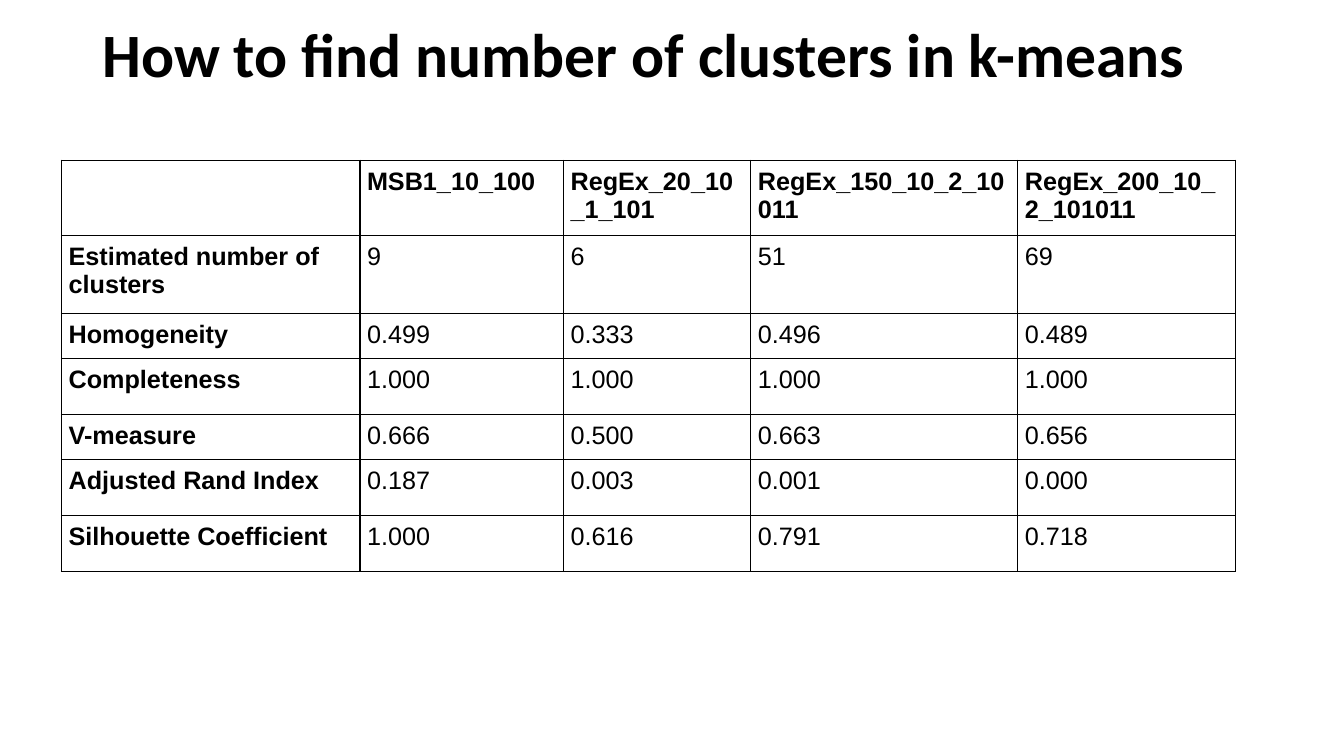
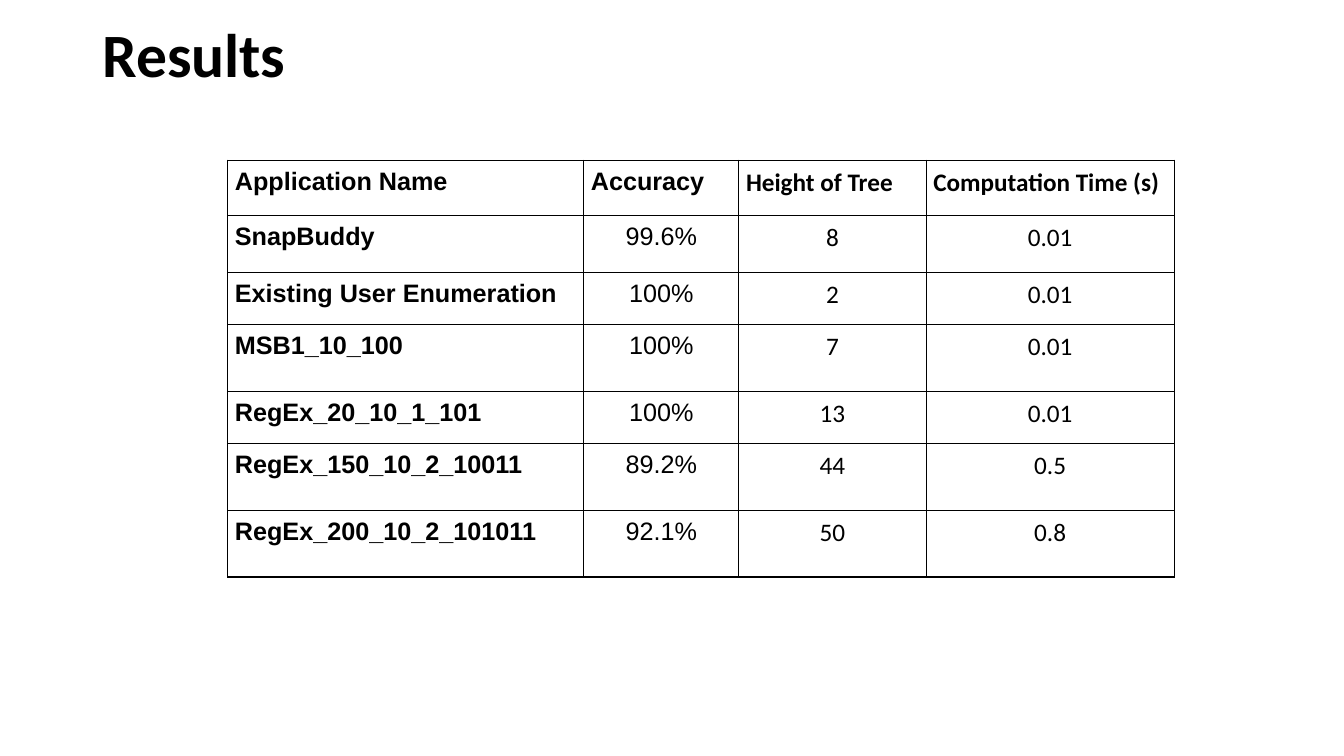
from dataclasses import dataclass

from lxml.etree import SubElement
from pptx import Presentation
from pptx.dml.color import RGBColor
from pptx.enum.text import MSO_ANCHOR, PP_ALIGN
from pptx.oxml.ns import qn
from pptx.util import Cm, Pt


@dataclass(frozen=True)
class Theme:
    ink: str = "000000"
    heading_font: str = "Calibri"
    table_font: str = "Arial"
    title_size: int = 44
    table_size: int = 18
    border: int = 1
    cell_margin: float = 0.18


THEME = Theme()
ARIAL, CALIBRI = THEME.table_font, THEME.heading_font
LEFT, CENTER = PP_ALIGN.LEFT, PP_ALIGN.CENTER

# Content: lengths in centimetres, one font and one body alignment per column
PAGES = [
    {
        "title": "How to find number of clusters in k-means",
        "left": 1.55,
        "widths": [7.52, 5.13, 4.72, 6.73, 5.49],
        "heights": [1.12, 1.98, 1.02, 1.42, 1.02, 1.42, 1.42],
        "fonts": [ARIAL] * 5,
        "aligns": [LEFT] * 5,
        "rows": [
            ["", "MSB1_10_100", "RegEx_20_10_1_101", "RegEx_150_10_2_10011", "RegEx_200_10_2_101011"],
            ["Estimated number of clusters", "9", "6", "51", "69"],
            ["Homogeneity", "0.499", "0.333", "0.496", "0.489"],
            ["Completeness", "1.000", "1.000", "1.000", "1.000"],
            ["V-measure", "0.666", "0.500", "0.663", "0.656"],
            ["Adjusted Rand Index", "0.187", "0.003", "0.001", "0.000"],
            ["Silhouette Coefficient", "1.000", "0.616", "0.791", "0.718"],
        ],
    },
    {
        "title": "Results",
        "left": 5.74,
        "widths": [8.97, 3.91, 4.72, 6.25],
        "heights": [1.4, 1.42, 1.32, 1.68, 1.32, 1.68, 1.68],
        "fonts": [ARIAL, ARIAL, CALIBRI, CALIBRI],
        "aligns": [LEFT, CENTER, CENTER, CENTER],
        "rows": [
            ["Application Name", "Accuracy", "Height of Tree", "Computation Time (s)"],
            ["SnapBuddy", "99.6%", "8", "0.01"],
            ["Existing User Enumeration", "100%", "2", "0.01"],
            ["MSB1_10_100", "100%", "7", "0.01"],
            ["RegEx_20_10_1_101", "100%", "13", "0.01"],
            ["RegEx_150_10_2_10011", "89.2%", "44", "0.5"],
            ["RegEx_200_10_2_101011", "92.1%", "50", "0.8"],
        ],
    },
]
TABLE_TOP = 4.04


def style_paragraph(para, font_name, size, bold):
    font = para.font
    font.name, font.size, font.bold = font_name, Pt(size), bold
    font.color.rgb = RGBColor.from_string(THEME.ink)


def add_title(page, text):
    box = page.shapes.add_textbox(Cm(2.33), Cm(0.03), Cm(29.21), Cm(2.82))
    frame = box.text_frame
    frame.word_wrap = True
    frame.vertical_anchor = MSO_ANCHOR.MIDDLE
    para = frame.paragraphs[0]
    para.text = text
    para.line_spacing = 0.9
    style_paragraph(para, THEME.heading_font, THEME.title_size, True)


def add_borders(cell):
    properties = cell._tc.get_or_add_tcPr()
    for side in ("a:lnL", "a:lnR", "a:lnT", "a:lnB"):
        line = SubElement(properties, qn(side), w=str(Pt(THEME.border)))
        SubElement(SubElement(line, qn("a:solidFill")), qn("a:srgbClr"), val=THEME.ink)


def fill_cell(cell, text, font_name, bold, align):
    margin = Cm(THEME.cell_margin)
    cell.margin_left = cell.margin_right = cell.margin_top = cell.margin_bottom = margin
    add_borders(cell)
    cell.fill.background()
    para = cell.text_frame.paragraphs[0]
    para.text = text
    para.alignment = align
    style_paragraph(para, font_name, THEME.table_size, bold)


def add_grid(page, content):
    rows, widths, heights = content["rows"], content["widths"], content["heights"]
    table = page.shapes.add_table(
        len(rows), len(widths), Cm(content["left"]), Cm(TABLE_TOP),
        Cm(sum(widths)), Cm(sum(heights)),
    ).table
    table.first_row = table.horz_banding = False
    for column, width in zip(table.columns, widths):
        column.width = Cm(width)
    for row_index, (row, height) in enumerate(zip(rows, heights)):
        table.rows[row_index].height = Cm(height)
        for column_index, text in enumerate(row):
            # Labels in the first row and column are bold; the header stays left
            fill_cell(
                table.cell(row_index, column_index), text,
                content["fonts"][column_index],
                row_index == 0 or column_index == 0,
                content["aligns"][column_index] if row_index else LEFT,
            )


def main():
    deck = Presentation()
    deck.slide_width, deck.slide_height = Cm(33.87), Cm(19.05)
    for content in PAGES:
        page = deck.slides.add_slide(deck.slide_layouts[6])
        add_title(page, content["title"])
        add_grid(page, content)
    deck.save("out.pptx")


if __name__ == "__main__":
    main()
